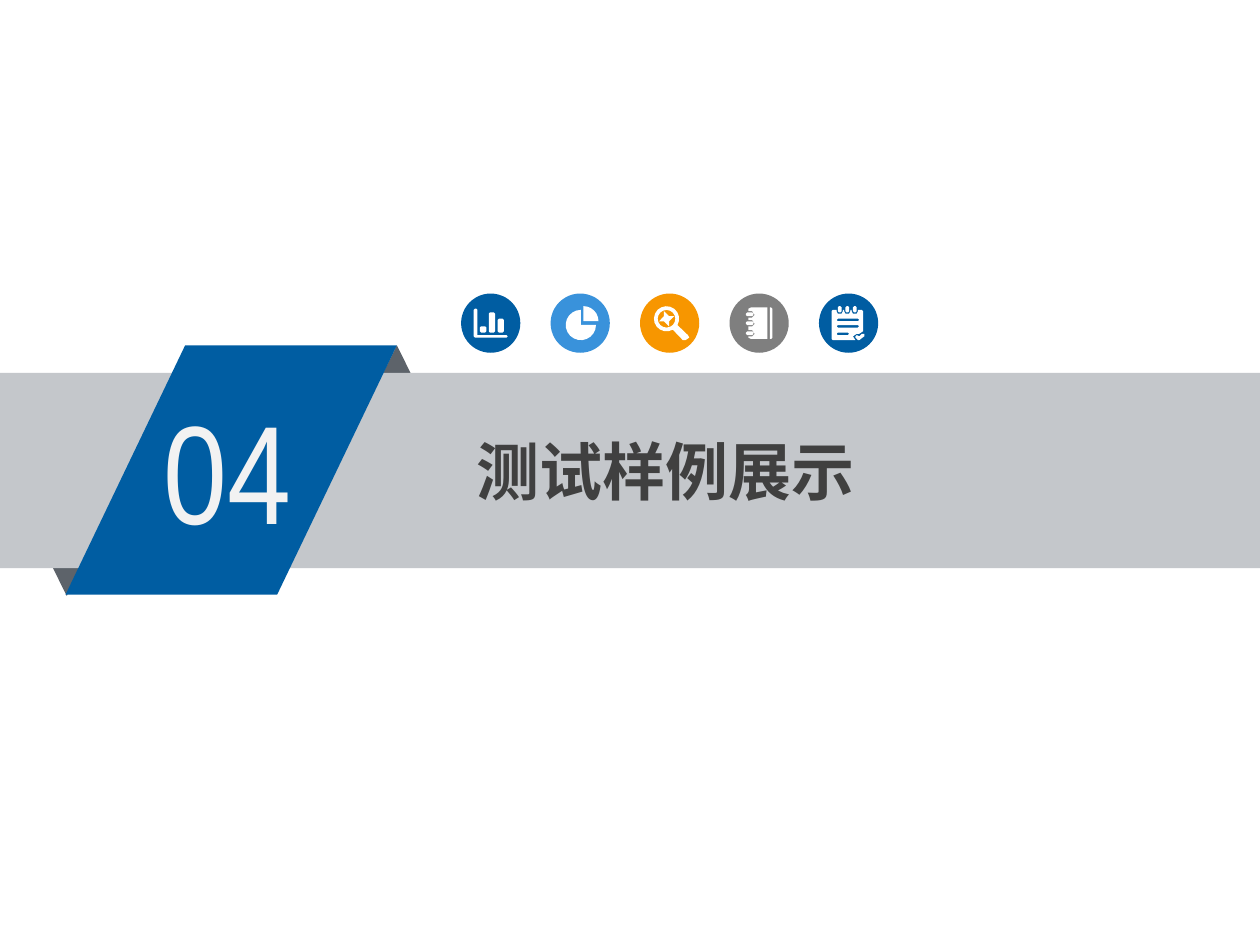
import math

from lxml import etree
from pptx import Presentation
from pptx.dml.color import RGBColor
from pptx.enum import shapes, text
from pptx.oxml.ns import qn
from pptx.util import Inches, Pt

BLUE = RGBColor(0x00, 0x5D, 0xA2)
LIGHT_BLUE = RGBColor(0x39, 0x92, 0xDB)
ORANGE = RGBColor(0xF7, 0x96, 0x00)
GRAY = RGBColor(0x7F, 0x7F, 0x7F)
FOLD_GRAY = RGBColor(0x5D, 0x63, 0x6A)
BAND_GRAY = RGBColor(0xC4, 0xC7, 0xCB)
NUMBER_WHITE = RGBColor(0xF2, 0xF2, 0xF2)
TITLE_GRAY = RGBColor(0x40, 0x40, 0x40)
WHITE = RGBColor(0xFF, 0xFF, 0xFF)

KIND = shapes.MSO_SHAPE
ICON_LEFT, ICON_TOP, ICON_SIZE, ICON_STEP = 3.66, 2.33, 0.47, 0.71


def paint(shape, color):
    shape.shadow.inherit = False
    shape.fill.solid()
    shape.fill.fore_color.rgb = color
    shape.line.fill.background()


def add_filled(container, kind, box, color):
    shape = container.shapes.add_shape(kind, *map(Inches, box))
    paint(shape, color)
    return shape


def set_text(shape, content, size, font_name, color, bold=False):
    frame = shape.text_frame
    frame.word_wrap = True
    frame.margin_left = frame.margin_right = Inches(0.08)
    frame.margin_top = frame.margin_bottom = Inches(0.04)
    frame.auto_size = text.MSO_AUTO_SIZE.SHAPE_TO_FIT_TEXT
    paragraph = frame.paragraphs[0]
    paragraph.alignment = text.PP_ALIGN.LEFT
    run = paragraph.add_run()
    run.text = content
    run.font.size = Pt(size)
    run.font.name = font_name
    run.font.bold = bold
    run.font.color.rgb = color
    east_asian = etree.SubElement(run.font._element, qn("a:ea"))
    east_asian.set("typeface", font_name)


def bar(x, y, width, height, cut=0.01):
    """Outline of a bar with its corners cut off."""
    right, bottom = x + width, y + height
    return [(x + cut, y), (right - cut, y), (right, y + cut), (right, bottom - cut),
            (right - cut, bottom), (x + cut, bottom), (x, bottom - cut), (x, y + cut)]


def arc(x, y, radius, start, end, steps=16):
    """Points on a circle, clockwise in degrees from the right-hand side."""
    angles = [math.radians(start + (end - start) * step / steps)
              for step in range(steps + 1)]
    return [(x + radius * math.cos(angle), y + radius * math.sin(angle))
            for angle in angles]


def bar_chart_outlines():
    axes = [(0.1, 0.13), (0.11, 0.12), (0.12, 0.12), (0.13, 0.13), (0.13, 0.33),
            (0.36, 0.33), (0.37, 0.34), (0.36, 0.35), (0.11, 0.35), (0.1, 0.34)]
    columns = ((0.15, 0.05), (0.22, 0.16), (0.29, 0.11))
    return [axes] + [bar(x, 0.31 - height, 0.05, height) for x, height in columns]


def pie_outlines():
    return [[(0.26, 0.22)] + arc(0.26, 0.22, 0.12, -90, 0, 6),
            [(0.24, 0.25)] + arc(0.24, 0.25, 0.12, 0, 270)]


def magnifier_outlines():
    x, y = 0.21, 0.2
    handle = [(0.38, 0.33), (0.39, 0.35), (0.36, 0.37), (0.34, 0.37)]
    near, far = 0.02, 0.06
    quarter = [(near, -near), (far, -near), (far, near)]
    plus = []
    for _ in range(4):
        plus += [(x + across, y + down) for across, down in quarter[:2]]
        quarter = [(-down, across) for across, down in quarter]
    return [arc(x, y, 0.1, 60, 390) + handle, arc(x, y, 0.07, 0, 360), plus]


def notebook_outlines():
    ring_tops = (0.14, 0.21, 0.29)
    cover = [(0.15, 0.12), (0.17, 0.11), (0.3, 0.11), (0.3, 0.36), (0.17, 0.36),
             (0.15, 0.35)]
    for top in reversed(ring_tops):
        cover += [(0.15, top + 0.05), (0.18, top + 0.05), (0.2, top + 0.03),
                  (0.18, top), (0.15, top)]
    spine = [(0.32, 0.11), (0.33, 0.11), (0.34, 0.12), (0.34, 0.35), (0.33, 0.36),
             (0.32, 0.36)]
    return [cover, spine] + [bar(0.13, top + 0.01, 0.06, 0.03) for top in ring_tops]


def notepad_outlines():
    ring_lefts = (0.14, 0.2, 0.26)
    page = [(0.1, 0.36), (0.1, 0.14), (0.11, 0.13)]
    for left in ring_lefts:
        page += [(left, 0.13), (left, 0.14), (left + 0.01, 0.16),
                 (left + 0.04, 0.16), (left + 0.05, 0.14), (left + 0.05, 0.13)]
    page += [(0.34, 0.13), (0.35, 0.14), (0.35, 0.3), (0.32, 0.32), (0.3, 0.32),
             (0.27, 0.34), (0.29, 0.37), (0.11, 0.37)]
    check = [(0.36, 0.34), (0.32, 0.37), (0.31, 0.37), (0.29, 0.35), (0.29, 0.34),
             (0.3, 0.33), (0.32, 0.34), (0.34, 0.32), (0.36, 0.32)]
    lines = [bar(0.14, y, width, 0.02)
             for y, width in ((0.2, 0.18), (0.25, 0.18), (0.31, 0.1))]
    rings = [bar(left + 0.01, 0.1, 0.03, 0.05) for left in ring_lefts]
    return [page, check] + lines + rings


def add_icon(slide, left, color, outlines):
    """Draw a disc with one white figure; inner outlines become holes."""
    group = slide.shapes.add_group_shape()
    add_filled(group, KIND.OVAL, (left, ICON_TOP, ICON_SIZE, ICON_SIZE), color)
    contours = [[(Inches(left + x), Inches(ICON_TOP + y)) for x, y in outline]
                for outline in outlines]
    builder = group.shapes.build_freeform(*contours[0][0])
    builder.add_line_segments(contours[0][1:], close=True)
    for start, *others in contours[1:]:
        builder.move_to(*start)
        builder.add_line_segments(others, close=True)
    paint(builder.convert_to_shape(), WHITE)


def add_banner(slide):
    group = slide.shapes.add_group_shape()
    add_filled(group, KIND.ISOSCELES_TRIANGLE, (2.7, 2.74, 0.9, 0.91), FOLD_GRAY)
    lower_fold = add_filled(group, KIND.ISOSCELES_TRIANGLE,
                            (0.08, 3.82, 0.9, 0.91), FOLD_GRAY)
    lower_fold.rotation = 180
    add_filled(group, KIND.RECTANGLE, (0, 2.96, 10, 1.55), BAND_GRAY)
    ribbon = add_filled(group, KIND.PARALLELOGRAM, (0.52, 2.74, 2.63, 1.98), BLUE)
    ribbon.adjustments[0] = 0.48
    number = group.shapes.add_textbox(*map(Inches, (1.22, 3.01, 1.45, 1.42)))
    set_text(number, "04", 80, "Arial Narrow", NUMBER_WHITE)


def add_title(slide):
    title = slide.shapes.title
    title.left, title.top, title.width, title.height = map(
        Inches, (3.7, 3.39, 5.75, 0.68))
    set_text(title, "测试样例展示", 36, "Noto Sans CJK SC", TITLE_GRAY, bold=True)
    # The title has to stand in front of the band.
    title.element.getparent().append(title.element)


def add_icons(slide):
    icons = ((BLUE, bar_chart_outlines()), (LIGHT_BLUE, pie_outlines()),
             (ORANGE, magnifier_outlines()), (GRAY, notebook_outlines()),
             (BLUE, notepad_outlines()))
    for index, (color, outlines) in enumerate(icons):
        add_icon(slide, ICON_LEFT + index * ICON_STEP, color, outlines)


def main():
    presentation = Presentation()
    presentation.slide_width = Inches(10)
    presentation.slide_height = Inches(7.5)
    title_only = presentation.slide_layouts.get_by_name("Title Only")
    slide = presentation.slides.add_slide(title_only)
    add_banner(slide)
    add_title(slide)
    add_icons(slide)
    presentation.save("out.pptx")


if __name__ == "__main__":
    main()
